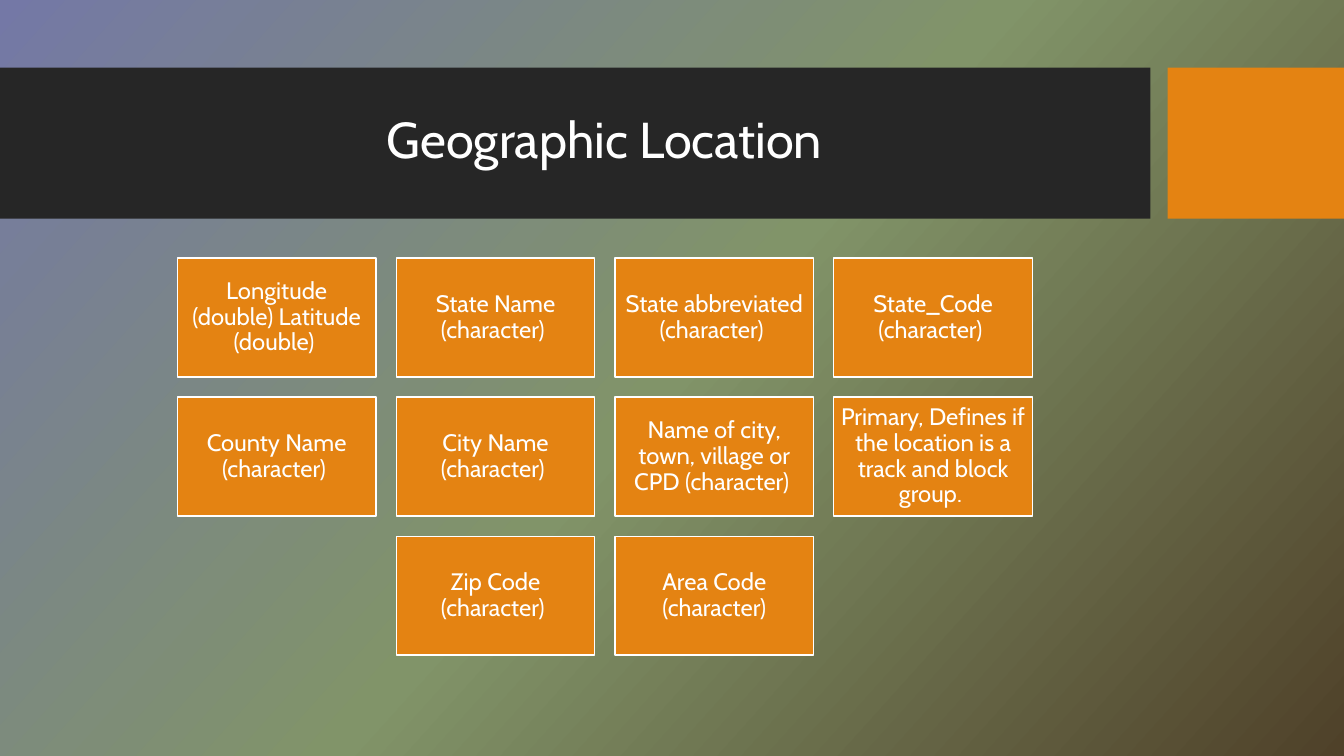
from copy import deepcopy
from dataclasses import dataclass

from pptx import Presentation
from pptx.dml.color import RGBColor
from pptx.enum.shapes import MSO_SHAPE
from pptx.enum.text import MSO_ANCHOR, PP_ALIGN
from pptx.oxml.ns import qn
from pptx.slide import Slide
from pptx.text.text import TextFrame
from pptx.util import Inches, Pt

RECTANGLE = MSO_SHAPE.RECTANGLE
MIDDLE = MSO_ANCHOR.MIDDLE
CENTER = PP_ALIGN.CENTER

FONT = "Cabin"
WHITE = "FFFFFF"
ORANGE = "E48312"
CHARCOAL = "262626"
BACKGROUND_COLORS = ("7478A6", "819469", "4F4129")
GRADIENT_ANGLE = 318

CARD_WIDTH = 1.97
CARD_HEIGHT = 1.18
CARD_GAP = 0.2
CARD_INSET = 0.07
GRID_CENTER = 6.0
GRID_TOP = 2.56
FIELD_ROWS = (
    (
        "Longitude (double) Latitude (double) ",
        "State Name (character) ",
        "State abbreviated (character) ",
        "State_Code (character) ",
    ),
    (
        "County Name (character) ",
        "City Name (character) ",
        "Name of city, town, village or CPD (character) ",
        "Primary, Defines if the location is a track and block group. ",
    ),
    ("Zip Code (character) ", "Area Code (character)"),
)


@dataclass(frozen=True)
class Box:
    """A filled rectangle, measured in inches."""

    left: float
    top: float
    width: float
    height: float
    fill: str
    line: str | None = None


BANDS = (
    Box(0, 0.67, 11.41, 1.5, CHARCOAL),
    Box(11.58, 0.67, 1.75, 1.5, ORANGE),
)


def color(value: str) -> RGBColor:
    """Turn a hex string into a colour."""
    return RGBColor.from_string(value)


def set_attributes(target: object, values: dict) -> None:
    """Set each named value on the target."""
    for name, value in values.items():
        setattr(target, name, value)


def add_box(slide: Slide, box: Box):
    """Draw a rectangle and return its shape."""
    shape = slide.shapes.add_shape(
        RECTANGLE, Inches(box.left), Inches(box.top), Inches(box.width), Inches(box.height)
    )
    shape.shadow.inherit = False
    shape.fill.solid()
    shape.fill.fore_color.rgb = color(box.fill)
    if box.line:
        shape.line.color.rgb = color(box.line)
        shape.line.width = Pt(1)
    else:
        shape.line.fill.background()
    return shape


def write_text(frame: TextFrame, text: str, size: float) -> None:
    """Write one centred white paragraph."""
    set_attributes(frame, {"text": text, "word_wrap": True, "vertical_anchor": MIDDLE})
    paragraph = frame.paragraphs[0]
    set_attributes(paragraph, {"alignment": CENTER, "line_spacing": 0.9})
    font = paragraph.runs[0].font
    set_attributes(font, {"name": FONT, "size": Pt(size)})
    font.color.rgb = color(WHITE)


def paint_background(slide: Slide) -> None:
    """Fill the background with a three-colour diagonal gradient."""
    fill = slide.background.fill
    fill.gradient()
    fill.gradient_angle = GRADIENT_ANGLE
    stop_list = slide.element.find(".//" + qn("a:gsLst"))
    stop_list.append(deepcopy(stop_list[-1]))
    for index, (stop, value) in enumerate(zip(fill.gradient_stops, BACKGROUND_COLORS)):
        stop.position = index / (len(BACKGROUND_COLORS) - 1)
        stop.color.rgb = color(value)


def add_header(slide: Slide) -> None:
    """Place the title on top of the header bands."""
    title = slide.shapes.title
    for band in BANDS:
        title.element.addprevious(add_box(slide, band).element)
    position = {"left": 0.74, "top": 0.82, "width": 10.51, "height": 1.18}
    set_attributes(title, {name: Inches(value) for name, value in position.items()})
    write_text(title.text_frame, "Geographic Location", 36)


def add_field_grid(slide: Slide) -> None:
    """Draw the rows of field cards, each row centred."""
    sides = ("left", "top", "right", "bottom")
    insets = {f"margin_{side}": Inches(CARD_INSET) for side in sides}
    for row, fields in enumerate(FIELD_ROWS):
        row_width = len(fields) * (CARD_WIDTH + CARD_GAP) - CARD_GAP
        top = GRID_TOP + row * (CARD_HEIGHT + CARD_GAP)
        for column, field in enumerate(fields):
            left = GRID_CENTER - row_width / 2 + column * (CARD_WIDTH + CARD_GAP)
            card = add_box(slide, Box(left, top, CARD_WIDTH, CARD_HEIGHT, ORANGE, WHITE))
            set_attributes(card.text_frame, insets)
            write_text(card.text_frame, field, 17)


def main() -> None:
    """Build and save the presentation."""
    presentation = Presentation()
    presentation.slide_width = Inches(13.33)
    presentation.slide_height = Inches(7.5)
    slide = presentation.slides.add_slide(presentation.slide_layouts.get_by_name("Title Only"))
    paint_background(slide)
    add_header(slide)
    add_field_grid(slide)
    presentation.save("out.pptx")


if __name__ == "__main__":
    main()
